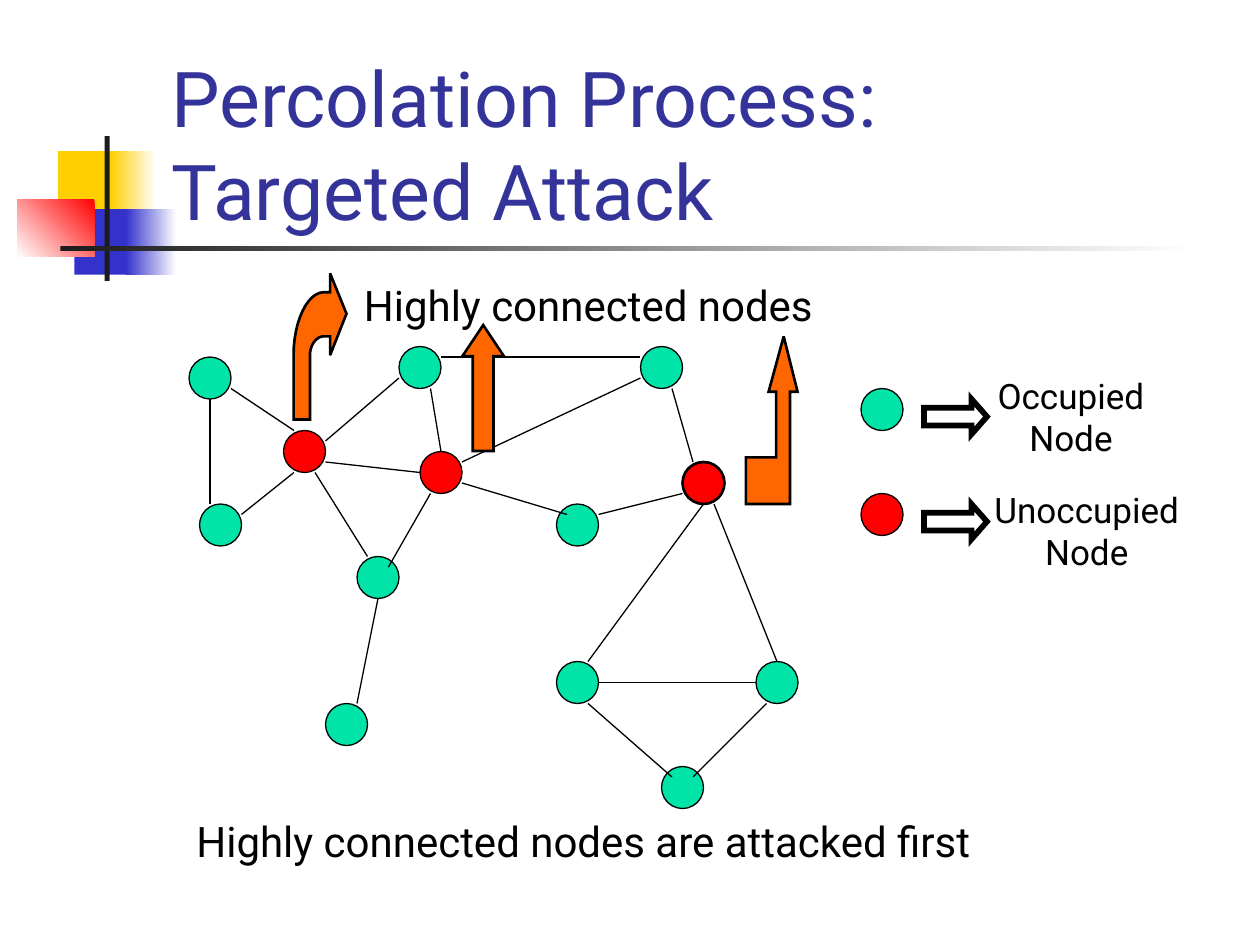
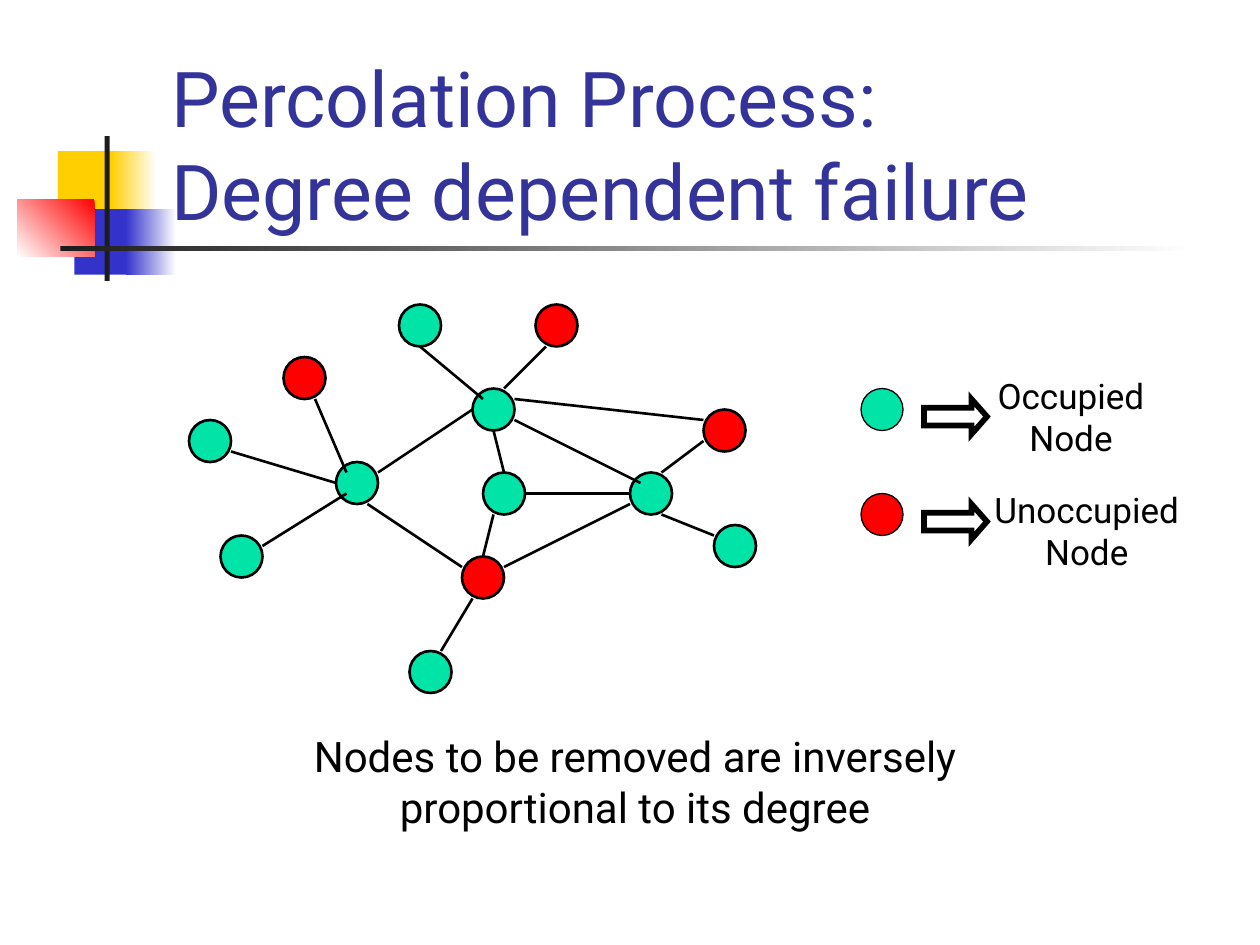
import dataclasses

import pptx
import pptx.dml.color
import pptx.enum.shapes
import pptx.enum.text
import pptx.oxml.ns
import pptx.util
from lxml import etree

Inches = pptx.util.Inches
Pt = pptx.util.Pt
Shapes = pptx.enum.shapes.MSO_SHAPE
Align = pptx.enum.text.PP_ALIGN
qualified = pptx.oxml.ns.qn


@dataclasses.dataclass(frozen=True)
class Theme:
    font: str = "Roboto"
    title_size: int = 44
    caption_size: int = 24
    legend_size: int = 20
    title: str = "333399"
    ink: str = "000000"
    paper: str = "FFFFFF"
    occupied: str = "00E4A8"
    unoccupied: str = "FF0000"
    callout: str = "FF6600"
    yellow: str = "FFCF01"
    blue: str = "3333CC"
    red: str = "FF0000"
    rule: str = "1C1C1C"
    thin: float = 0.75
    thick: float = 1.5
    legend_arrow: float = 3.25


THEME = Theme()
GRID = 1 / 12
NODE_SIZE = 4 * GRID
TITLE_BOX = (1.26, 0.67, 8.52, 1.25)

BAND = [
    {"place": (0.46, 1.2, 0.48, 0.52), "colour": THEME.yellow},
    {"place": (0.88, 1.2, 0.36, 0.52), "colour": THEME.yellow, "fade_angle": 0},
    {"place": (0.59, 1.66, 0.46, 0.52), "colour": THEME.blue},
    {"place": (1, 1.66, 0.4, 0.52), "colour": THEME.blue, "fade_angle": 0},
    {"place": (0.14, 1.58, 0.61, 0.46), "colour": THEME.red, "fade_angle": 225},
    {"place": (0.83, 1.08, 0.04, 1.15), "colour": THEME.rule},
    {"place": (0.48, 1.95, 9, 0.04), "colour": THEME.rule, "fade_angle": 0},
]

LEGEND = [
    ("Occupied Node", (7.5, 2.92, 2, 0.77), 37, THEME.occupied),
    ("Unoccupied Node", (7.75, 3.83, 1.75, 0.77), 47, THEME.unoccupied),
]

BENT_ARROW = [
    (2.33, 3.33), (2.33, 2.82), (2.33, 2.55, 2.44, 2.32, 2.57, 2.32),
    (2.62, 2.32), (2.62, 2.17), (2.75, 2.49), (2.62, 2.82), (2.62, 2.67),
    (2.57, 2.67), (2.51, 2.67, 2.46, 2.74, 2.46, 2.82), (2.46, 3.33),
]
CORNER_ARROW = [
    (5.92, 3.63), (6.16, 3.63), (6.16, 3.11), (6.1, 3.11), (6.22, 2.67),
    (6.33, 3.11), (6.27, 3.11), (6.27, 4), (5.92, 4),
]
UP_ARROW = (3.67, 2.58, 0.33, 1)

TARGETED_ATTACK = {
    "title": "Percolation Process:\vTargeted Attack",
    "line": THEME.thin,
    "occupied": [(18, 34), (19, 48), (38, 33), (61, 33), (53, 48), (53, 63),
                 (72, 63), (63, 73), (34, 53), (31, 67)],
    "unoccupied": [(27, 41), (40, 43), (65, 44)],
    "outlined": [(65, 44)],
    "edges": [
        (20, 38, 20, 48), (22, 37, 28, 41), (23, 49, 28, 45), (31, 42, 38, 36),
        (31, 44, 40, 45), (30, 45, 35, 53), (36, 57, 34, 67), (41, 47, 37, 54),
        (41, 37, 42, 43), (42, 34, 61, 34), (61, 36, 44, 44), (44, 46, 54, 49),
        (57, 49, 65, 47), (64, 37, 66, 44), (67, 48, 56, 63), (68, 48, 74, 63),
        (57, 65, 72, 65), (56, 67, 64, 74), (73, 67, 66, 74),
    ],
    "captions": [
        ("Highly connected nodes", (2.67, 2.17, 4, 0.5)),
        ("Highly connected nodes are attacked first", (0.17, 6.42, 8.92, 0.5)),
    ],
}
DEGREE_FAILURE = {
    "title": "Percolation Process:\vDegree dependent failure",
    "line": THEME.thick,
    "occupied": [(60, 45), (32, 44), (45, 37), (46, 45), (38, 29), (18, 40),
                 (39, 62), (68, 50), (21, 51)],
    "unoccupied": [(44, 53), (51, 29), (67, 39), (27, 34)],
    "outlined": [],
    "edges": [
        (45, 39, 36, 45), (49, 40, 61, 46), (60, 48, 48, 54), (47, 49, 46, 53),
        (35, 48, 44, 54), (50, 47, 60, 47), (40, 33, 46, 38), (52, 33, 48, 37),
        (67, 42, 63, 45), (63, 49, 68, 51), (22, 43, 32, 46), (45, 57, 42, 62),
        (30, 38, 33, 45), (33, 47, 25, 52), (49, 38, 67, 40), (47, 41, 48, 45),
    ],
    "captions": [
        ("Nodes to be removed are inversely proportional to its degree",
         (1.5, 5.75, 7.08, 0.9)),
    ],
}


def rgb(colour):
    return pptx.dml.color.RGBColor.from_string(colour)


def box(values):
    return [Inches(value) for value in values]


def paint(shape, fill, line_width):
    shape.shadow.inherit = False
    shape.fill.solid()
    shape.fill.fore_color.rgb = rgb(fill)
    if line_width:
        shape.line.color.rgb = rgb(THEME.ink)
        shape.line.width = Pt(line_width)
        outline = shape.element.spPr.find(qualified("a:ln"))
        etree.SubElement(outline, qualified("a:miter"), lim="800000")
    else:
        shape.line.fill.background()


def add_painted(slide, kind, place, fill, line_width=None):
    shape = slide.shapes.add_shape(kind, *box(place))
    paint(shape, fill, line_width)
    return shape


def style(paragraph, size, colour, alignment):
    paragraph.alignment = alignment
    paragraph.font.name = THEME.font
    paragraph.font.size = Pt(size)
    paragraph.font.color.rgb = rgb(colour)


def add_text(slide, text, place, size):
    frame = slide.shapes.add_textbox(*box(place)).text_frame
    frame.word_wrap = True
    frame.text = text
    style(frame.paragraphs[0], size, THEME.ink, Align.CENTER)


def draw_band_on_layout(slide, layout):
    for part in BAND:
        shape = add_painted(slide, Shapes.RECTANGLE, part["place"], part["colour"])
        if "fade_angle" in part:
            shape.fill.gradient()
            shape.fill.gradient_angle = part["fade_angle"]
            colours = (part["colour"], THEME.paper)
            for stop, colour in zip(shape.fill.gradient_stops, colours):
                stop.color.rgb = rgb(colour)
        layout.shapes.element.append(shape.element)


def add_title(slide, text):
    title = slide.shapes.title
    title.left, title.top, title.width, title.height = box(TITLE_BOX)
    frame = title.text_frame
    frame.text = text
    frame.auto_size = pptx.enum.text.MSO_AUTO_SIZE.NONE
    frame.vertical_anchor = pptx.enum.text.MSO_ANCHOR.BOTTOM
    style(frame.paragraphs[0], THEME.title_size, THEME.title, Align.LEFT)


def add_node(slide, column, row, colour, line_width):
    place = (column * GRID, row * GRID, NODE_SIZE, NODE_SIZE)
    add_painted(slide, Shapes.OVAL, place, colour, line_width)


def add_edge(slide, edge, line_width):
    ends = box(step * GRID for step in edge)
    connector = slide.shapes.add_connector(pptx.enum.shapes.MSO_CONNECTOR.STRAIGHT, *ends)
    connector.line.color.rgb = rgb(THEME.ink)
    connector.line.width = Pt(line_width)
    etree.SubElement(connector.element.spPr, qualified("a:effectLst"))


def add_network(slide, content):
    for status, colour in (("occupied", THEME.occupied), ("unoccupied", THEME.unoccupied)):
        for node in content[status]:
            width = THEME.thick if node in content["outlined"] else content["line"]
            add_node(slide, *node, colour, width)
    for edge in content["edges"]:
        add_edge(slide, edge, content["line"])


def add_legend(slide):
    for label, place, row, colour in LEGEND:
        add_text(slide, label, place, THEME.legend_size)
        add_node(slide, 82, row, colour, THEME.thin)
        arrow_place = (88 * GRID, (row + 1) * GRID, 0.5, 0.28)
        arrow = add_painted(slide, Shapes.RIGHT_ARROW, arrow_place, THEME.paper,
                            THEME.legend_arrow)
        arrow.adjustments[1] = 0.44


def curve_points(start, curve, steps=12):
    controls = [start, curve[:2], curve[2:4], curve[4:]]
    for step in range(1, steps + 1):
        t = step / steps
        weights = ((1 - t) ** 3, 3 * t * (1 - t) ** 2, 3 * t ** 2 * (1 - t), t ** 3)
        yield tuple(sum(weight * point[axis] for weight, point in zip(weights, controls))
                    for axis in (0, 1))


def add_outline(slide, outline):
    points = []
    for part in outline:
        points.extend(curve_points(points[-1], part) if len(part) == 6 else [part])
    first, *rest = [box(point) for point in points]
    builder = slide.shapes.build_freeform(*first)
    builder.add_line_segments(rest, close=True)
    paint(builder.convert_to_shape(), THEME.callout, THEME.thick)


def add_callouts(slide):
    arrow = add_painted(slide, Shapes.UP_ARROW, UP_ARROW, THEME.callout, THEME.thick)
    arrow.adjustments[1] = 0.75
    for outline in (BENT_ARROW, CORNER_ARROW):
        add_outline(slide, outline)


def main():
    presentation = pptx.Presentation()
    presentation.slide_width = Inches(10)
    presentation.slide_height = Inches(7.5)
    layout = presentation.slide_layouts[5]
    slides = []
    for content in (TARGETED_ATTACK, DEGREE_FAILURE):
        slide = presentation.slides.add_slide(layout)
        add_title(slide, content["title"])
        add_network(slide, content)
        add_legend(slide)
        for text, place in content["captions"]:
            add_text(slide, text, place, THEME.caption_size)
        slides.append(slide)
    add_callouts(slides[0])
    draw_band_on_layout(slides[0], layout)
    presentation.save("out.pptx")


if __name__ == "__main__":
    main()
